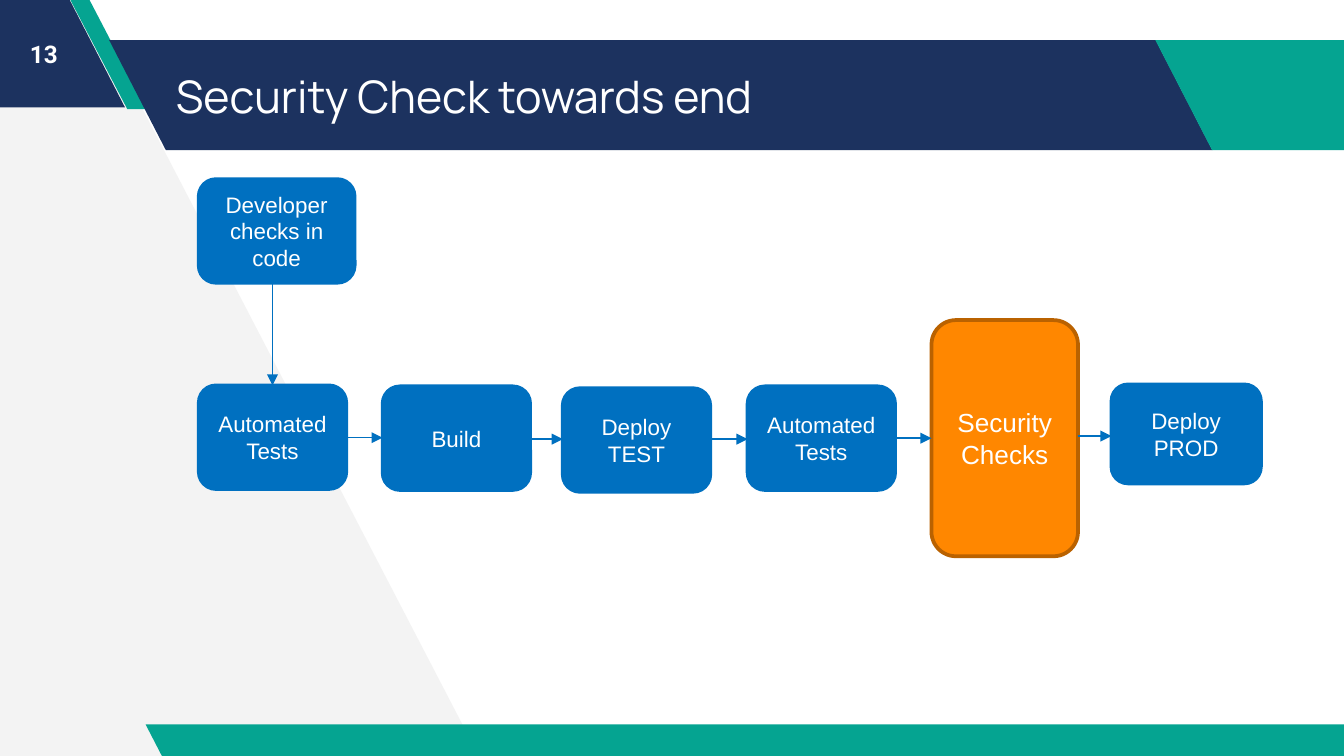
import pptx
import pptx.dml.color
import pptx.enum.shapes
import pptx.enum.text
import pptx.oxml
import pptx.oxml.ns
import pptx.util
from itertools import pairwise

Pt = pptx.util.Pt
SHAPES = pptx.enum.shapes.MSO_SHAPE
ALIGN = pptx.enum.text.PP_ALIGN

COLOURS = {
    "white": "FFFFFF",
    "grey": "F3F3F3",
    "navy": "1C325F",
    "teal": "05A491",
    "blue": "0070C0",
    "orange": "FF8700",
    "brown": "BA6200",
}

BANDS = [
    (-71.5, -1.5, 138.5, 59, 0.515, "navy"),
    (37.5, -0.5, 41, 59, 0.75, "teal"),
    (58.5, 21.5, 591, 59, 0.515, "navy"),
    (619, 21.5, 138.5, 59, 0.515, "teal"),
    (78, 388, 659, 18, 0.515, "teal"),
]

CHECK_IN = ("Developer checks in code", 106.5, 96, 83.5, 55.5)
PIPELINE = [
    ("Automated Tests", 106.5, 206.5, 79, 55.5),
    ("Build", 205, 207, 79, 55.5),
    ("Deploy\nTEST", 301.5, 208, 79, 55.5),
    ("Automated Tests", 400.5, 207, 79, 55.5),
    ("Security Checks", 499, 171.5, 78.5, 126.5),
    ("Deploy\nPROD", 595.5, 206, 80, 53),
]


def rgb(name):
    return pptx.dml.color.RGBColor.from_string(COLOURS[name])


def paint(shape, fill, line=None):
    shape.shadow.inherit = False
    shape.fill.solid()
    shape.fill.fore_color.rgb = rgb(fill)
    if line:
        shape.line.color.rgb = rgb(line)
        shape.line.width = Pt(2)
    else:
        shape.line.fill.background()


def write(shape, text, size, font, align, inset, bold=False):
    frame = shape.text_frame
    frame.text = text
    frame.word_wrap = True
    frame.auto_size = pptx.enum.text.MSO_AUTO_SIZE.NONE
    frame.vertical_anchor = pptx.enum.text.MSO_ANCHOR.MIDDLE
    frame.margin_left = frame.margin_right = Pt(7.2)
    frame.margin_top = frame.margin_bottom = Pt(inset)
    for para in frame.paragraphs:
        para.alignment = align
        for span in para.runs:
            span.font.size = Pt(size)
            span.font.name = font
            span.font.bold = bold
            span.font.color.rgb = rgb("white")


def add_side_panel(page):
    builder = page.shapes.build_freeform(Pt(256.5), Pt(405), scale=1.0)
    corners = [(44.5, -3), (-4.5, -3), (-1.5, 407.5)]
    builder.add_line_segments([(Pt(x), Pt(y)) for x, y in corners])
    paint(builder.convert_to_shape(), "grey")


def add_band(page, left, top, width, height, slant, fill):
    band = page.shapes.add_shape(
        SHAPES.PARALLELOGRAM, Pt(left), Pt(top), Pt(width), Pt(height))
    band.adjustments[0] = slant
    band.element.spPr.find(pptx.oxml.ns.qn("a:xfrm")).set("flipH", "1")
    paint(band, fill)


def place_title(page, text):
    title = page.shapes.title
    title.left, title.top = Pt(87), Pt(21.5)
    title.width, title.height = Pt(529), Pt(59)
    write(title, text, 24, "Manrope", ALIGN.LEFT, 7.2)
    title.element.getparent().append(title.element)


def add_page_number(page, number):
    box = page.shapes.add_textbox(Pt(0), Pt(0), Pt(47), Pt(57.5))
    write(box, number, 13, "Roboto", ALIGN.CENTER, 7.2, bold=True)


def add_step(page, step, fill="blue", line="blue", size=12):
    text, left, top, width, height = step
    box = page.shapes.add_shape(
        SHAPES.ROUNDED_RECTANGLE, Pt(left), Pt(top), Pt(width), Pt(height))
    paint(box, fill, line)
    write(box, text, size, "Arial", ALIGN.CENTER, 3.6)
    return box


def add_arrow(page, start, end):
    arrow = page.shapes.add_connector(
        pptx.enum.shapes.MSO_CONNECTOR.STRAIGHT, *start, *end)
    arrow.line.color.rgb = rgb("blue")
    arrow.line.width = Pt(0.75)
    namespace = pptx.oxml.ns.nsdecls("a")
    arrow.get_or_add_ln().append(
        pptx.oxml.parse_xml(f'<a:tailEnd {namespace} type="triangle"/>'))
    arrow.element.spPr.append(
        pptx.oxml.parse_xml(f"<a:effectLst {namespace}/>"))


def add_pipeline(page):
    check_in = add_step(page, CHECK_IN)
    boxes = []
    for step in PIPELINE:
        if step[0] == "Security Checks":
            boxes.append(add_step(page, step, "orange", "brown", 14))
        else:
            boxes.append(add_step(page, step))

    first = boxes[0]
    middle = first.left + first.width // 2
    add_arrow(page, (middle, check_in.top + check_in.height), (middle, first.top))
    for box, following in pairwise(boxes):
        centres = [item.top + item.height // 2 for item in (box, following)]
        level = sum(centres) // 2
        add_arrow(page, (box.left + box.width, level), (following.left, level))


def main():
    deck = pptx.Presentation()
    deck.slide_width, deck.slide_height = Pt(720), Pt(405)
    page = deck.slides.add_slide(deck.slide_layouts[5])
    add_side_panel(page)
    for band in BANDS:
        add_band(page, *band)
    place_title(page, "Security Check towards end")
    add_page_number(page, "13")
    add_pipeline(page)
    deck.save("out.pptx")


if __name__ == "__main__":
    main()
